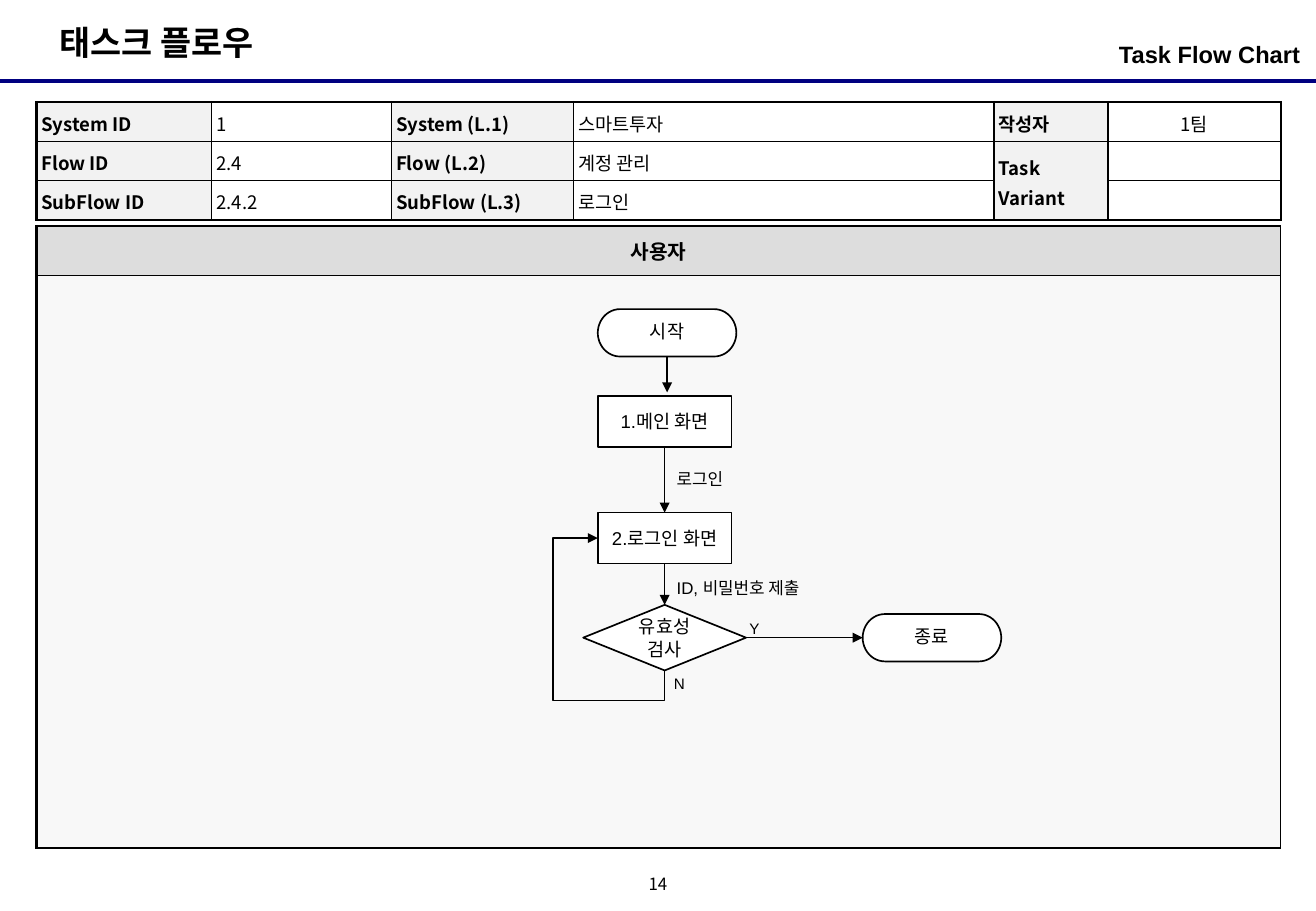
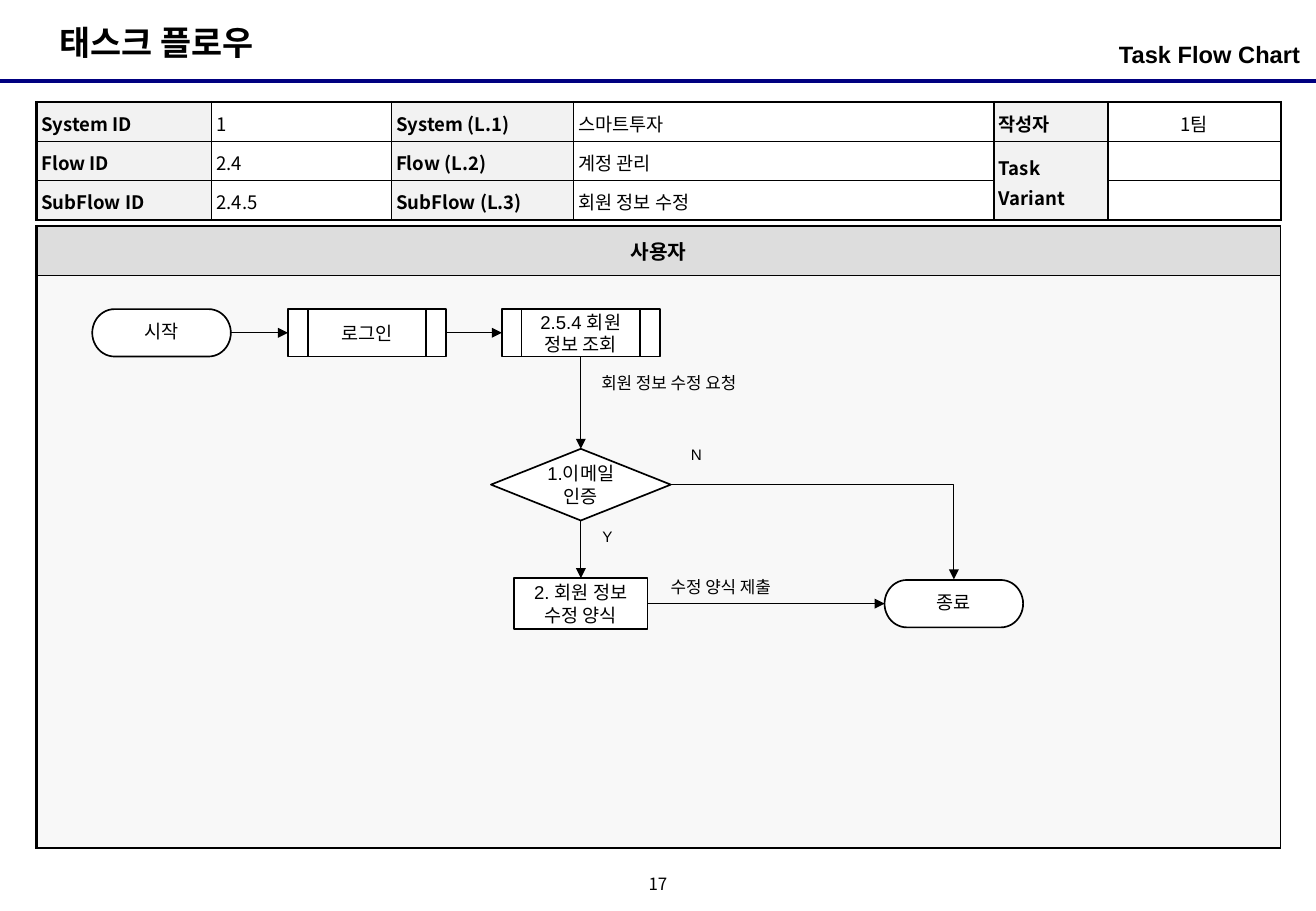
"""Build two task flow chart slides."""
from dataclasses import dataclass

from lxml import etree
from pptx import Presentation
from pptx.dml.color import RGBColor
from pptx.enum import shapes as sh, text as tx
from pptx.oxml.ns import qn
from pptx.util import Inches, Pt

KIND = sh.MSO_SHAPE
LINE = sh.MSO_CONNECTOR
ALIGN = tx.PP_ALIGN
ANCHOR = tx.MSO_ANCHOR
TOP, LEFT, BOTTOM, RIGHT = range(4)


@dataclass(frozen=True)
class Theme:
    """Colours, fonts and type sizes of the deck."""
    ink: str = "000000"
    navy: str = "000080"
    white: str = "FFFFFF"
    head: str = "DDDDDD"
    body: str = "F8F8F8"
    key: str = "F2F2F2"
    latin: str = "Arial"
    asian: str = "Noto Sans CJK KR"
    title: int = 20
    side: int = 14
    lane: int = 12
    node: int = 11
    note: int = 10
    flag: int = 9


T = Theme()


def color(code):
    """Turn a hex code into a colour."""
    return RGBColor.from_string(code)


def write(frame, words, size=T.node, bold=False, font=T.latin, align=ALIGN.LEFT,
          anchor=ANCHOR.TOP, pad=(0.1, 0.05), gap=None):
    """Put one formatted paragraph into a text frame."""
    frame.word_wrap = True
    frame.auto_size = tx.MSO_AUTO_SIZE.NONE
    frame.vertical_anchor = anchor
    frame.margin_left = frame.margin_right = Inches(pad[0])
    frame.margin_top = frame.margin_bottom = Inches(pad[1])
    para = frame.paragraphs[0]
    para.alignment = align
    if gap:
        para.line_spacing = gap
    run = para.add_run()
    run.text = words
    run.font.size, run.font.bold, run.font.name = Pt(size), bold, font
    run.font.color.rgb = color(T.ink)
    etree.SubElement(run.font._element, qn("a:ea"), typeface=T.asian)


def label(slide, words, x, y, w, h, **style):
    """Add a text box."""
    box = slide.shapes.add_textbox(*map(Inches, (x, y, w, h)))
    write(box.text_frame, words, **style)


def note(slide, words, x, y, w=1.63):
    """Name the action beside an arrow."""
    label(slide, words, x, y, w, 0.27, size=T.note)


def flag(slide, words, x, y):
    """Mark a branch of a decision."""
    label(slide, words, x, y, 0.3, 0.25, size=T.flag, align=ALIGN.CENTER,
          anchor=ANCHOR.MIDDLE)


def node(slide, kind, words, x, y, w, h, gap=None):
    """Add a flow shape centred on x, y."""
    box = slide.shapes.add_shape(
        kind, *map(Inches, (x - w / 2, y - h / 2, w, h)))
    box.shadow.inherit = False
    box.fill.solid()
    box.fill.fore_color.rgb = color(T.white)
    box.line.color.rgb = color(T.ink)
    box.line.width = Pt(1)
    write(box.text_frame, words, align=ALIGN.CENTER, anchor=ANCHOR.MIDDLE,
          pad=(0.02, 0), gap=gap)
    return box


def stop(slide, words, x, y):
    """Add a start or end shape."""
    return node(slide, KIND.FLOWCHART_TERMINATOR, words, x, y, 1.14, 0.39, 0.9)


def step(slide, words, x, y):
    """Add a screen box."""
    return node(slide, KIND.RECTANGLE, words, x, y, 1.1, 0.42)


def task(slide, words, x, y):
    """Add a predefined process."""
    return node(slide, KIND.FLOWCHART_PREDEFINED_PROCESS, words, x, y, 1.3, 0.39)


def test(slide, words, x, y, w, h):
    """Add a decision."""
    return node(slide, KIND.FLOWCHART_DECISION, words, x, y, w, h)


def line(slide, ends, kind=LINE.STRAIGHT, ink=T.ink, width=0.75, arrow=True):
    """Add a connector from ends x1, y1 to x2, y2."""
    wire = slide.shapes.add_connector(kind, *map(Inches, ends))
    wire.line.color.rgb = color(ink)
    wire.line.width = Pt(width)
    if arrow:
        etree.SubElement(wire.line._get_or_add_ln(), qn("a:tailEnd"),
                         type="triangle")
    etree.SubElement(wire._element.spPr, qn("a:effectLst"))
    return wire


def link(slide, first, out, last, into):
    """Join two shapes with a straight arrow."""
    wire = line(slide, (0, 0, 1, 1))
    wire.begin_connect(first, out)
    wire.end_connect(last, into)


def bend(slide, ends, form, turn=None, adjust=()):
    """Add an elbow arrow of a given preset form."""
    wire = line(slide, ends, LINE.ELBOW)
    props = wire._element.spPr
    shape = props.find(qn("a:prstGeom"))
    shape.set("prst", form)
    guides = shape.find(qn("a:avLst"))
    if guides is None:
        guides = etree.SubElement(shape, qn("a:avLst"))
    for num, value in enumerate(adjust, 1):
        etree.SubElement(guides, qn("a:gd"), name=f"adj{num}",
                         fmla=f"val {value}")
    for name, value in (turn or {}).items():
        props.find(qn("a:xfrm")).set(name, value)


def border(cell, widths):
    """Draw cell edges in the order left, right, top, bottom."""
    props = cell._tc.get_or_add_tcPr()
    for spot, (side, width) in enumerate(zip("LRTB", widths)):
        edge = etree.Element(qn(f"a:ln{side}"), w=str(Pt(width)))
        fill = etree.SubElement(edge, qn("a:solidFill"))
        etree.SubElement(fill, qn("a:srgbClr"), val=T.ink)
        props.insert(spot, edge)


def paint(cell, code=None):
    """Fill a cell or leave it clear."""
    if code:
        cell.fill.solid()
        cell.fill.fore_color.rgb = color(code)
    else:
        cell.fill.background()


def grid(slide, x, y, cols, rows):
    """Add a plain table."""
    size = map(Inches, (x, y, sum(cols), sum(rows)))
    table = slide.shapes.add_table(len(rows), len(cols), *size).table
    table.first_row = table.horz_banding = False
    for col, width in zip(table.columns, cols):
        col.width = Inches(width)
    for row, height in zip(table.rows, rows):
        row.height = Inches(height)
    return table


def lane(slide):
    """Add the swim lane."""
    table = grid(slide, 0.3, 1.86, [10.24], [0.41, 4.71])
    top, area = table.cell(0, 0), table.cell(1, 0)
    write(top.text_frame, "사용자", size=T.lane, bold=True, align=ALIGN.CENTER)
    top.vertical_anchor = ANCHOR.MIDDLE
    paint(top, T.head)
    paint(area, T.body)
    border(top, (1.5, 0.75, 1.5, 0.75))
    border(area, (1.5, 0.75, 0.75, 1.5))


def facts(slide, code, name):
    """Add the table that identifies the flow."""
    data = [
        ["System ID", "1", "System (L.1)", "스마트투자", "작성자", "1팀"],
        ["Flow ID", "2.4", "Flow (L.2)", "계정 관리", "Task Variant", ""],
        ["SubFlow ID", code, "SubFlow (L.3)", name, "", ""],
    ]
    table = grid(slide, 0.3, 0.84, [1.44, 1.48, 1.5, 3.46, 0.94, 1.42],
                 [0.31] * 3)
    table.cell(1, 4).merge(table.cell(2, 4))
    for r, row in enumerate(data):
        for c, words in enumerate(row):
            cell = table.cell(r, c)
            key = c % 2 == 0
            cell.margin_left = cell.margin_right = Inches(0.04)
            cell.margin_top = cell.margin_bottom = Inches(0.04)
            if words:
                write(cell.text_frame, words, bold=key, font=T.asian, gap=1.1,
                      pad=(0.04, 0.04),
                      align=ALIGN.CENTER if c == 5 else ALIGN.LEFT)
            else:
                etree.SubElement(cell.text_frame.paragraphs[0]._p,
                                 qn("a:endParaRPr"), sz=str(T.node * 100))
            cell.vertical_anchor = ANCHOR.MIDDLE if c > 3 else ANCHOR.TOP
            paint(cell, T.key if key else None)
            last = r == 2 or cell.is_merge_origin
            outer = (c == 0, c == 5, r == 0, last)
            border(cell, [1.5 if edge else 1 for edge in outer])


def page(deck, number, code, name):
    """Add a slide with the shared frame."""
    slide = deck.slides.add_slide(deck.slide_layouts[5])
    line(slide, (0, 0.67, 10.83, 0.67), ink=T.navy, width=2.25, arrow=False)
    title = slide.shapes.title
    title.left, title.top, title.width, title.height = map(
        Inches, (0.39, 0.13, 1.98, 0.44))
    write(title.text_frame, "태스크 플로우", size=T.title, bold=True)
    label(slide, "Task Flow Chart", 7.39, 0.28, 3.31, 0.39, size=T.side,
          bold=True, align=ALIGN.RIGHT, pad=(0, 0.05))
    label(slide, number, 5.25, 7.17, 0.33, 0.25, size=T.note, font=T.asian,
          align=ALIGN.CENTER, anchor=ANCHOR.MIDDLE, pad=(0, 0), gap=0.8)
    lane(slide)
    facts(slide, code, name)
    return slide


def login(deck):
    """Draw the login flow."""
    slide = page(deck, "14", "2.4.2", "로그인")
    mid = 5.47
    start = stop(slide, "시작", 5.49, 2.74)
    main_box = step(slide, "1.메인 화면", mid, 3.47)
    form = step(slide, "2.로그인 화면", mid, 4.43)
    check = test(slide, "유효성 검사", mid, 5.25, 1.34, 0.54)
    end = stop(slide, "종료", 7.67, 5.25)
    line(slide, (5.49, 2.93, 5.49, 3.23)).begin_connect(start, BOTTOM)
    link(slide, main_box, BOTTOM, form, TOP)
    link(slide, form, BOTTOM, check, TOP)
    link(slide, check, RIGHT, end, LEFT)
    bend(slide, (4.65, 4.7, 5.74, 5.25), "bentConnector4",
         {"rot": "5400000", "flipH": "1"}, (-22900, 167000))
    note(slide, "로그인", mid, 3.81)
    note(slide, "ID, 비밀번호 제출", mid, 4.71)
    flag(slide, "Y", 6.06, 5.05)
    flag(slide, "N", 5.44, 5.5)


def edit(deck):
    """Draw the member update flow."""
    slide = page(deck, "17", "2.4.5", "회원 정보 수정")
    mid, high, low = 4.78, 2.74, 4.97
    start = stop(slide, "시작", 1.33, high)
    enter = task(slide, "로그인", 3.02, high)
    view = task(slide, "2.5.4 회원 정보 조회", mid, high)
    check = test(slide, "1.이메일 인증", mid, 3.99, 1.48, 0.59)
    form = step(slide, "2. 회원 정보 수정 양식", mid, low)
    end = stop(slide, "종료", 7.85, low)
    link(slide, start, RIGHT, enter, LEFT)
    link(slide, enter, RIGHT, view, LEFT)
    link(slide, view, BOTTOM, check, TOP)
    link(slide, check, BOTTOM, form, TOP)
    link(slide, form, RIGHT, end, LEFT)
    bend(slide, (5.52, 3.99, 7.85, 4.77), "bentConnector2")
    note(slide, "회원 정보 수정 요청", 4.85, 3.02)
    note(slide, "수정 양식 제출", 5.42, 4.7, 1.3)
    flag(slide, "Y", 4.85, 4.29)
    flag(slide, "N", 5.58, 3.62)


def main():
    """Build and save the deck."""
    deck = Presentation()
    deck.slide_width, deck.slide_height = Inches(10.83), Inches(7.5)
    login(deck)
    edit(deck)
    deck.save("out.pptx")


if __name__ == "__main__":
    main()
